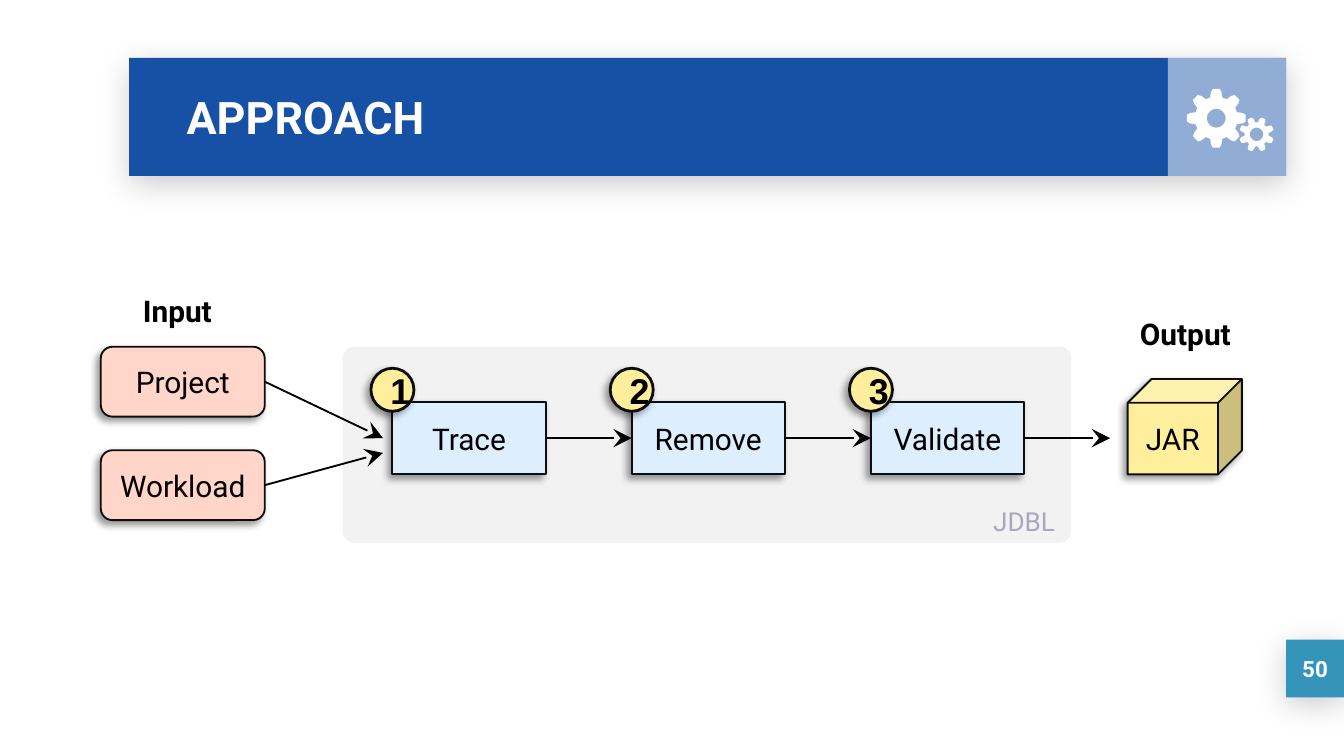
import math
from dataclasses import dataclass
from typing import Optional

import lxml.etree
import pptx
import pptx.dml.color
import pptx.enum.shapes
import pptx.enum.text
import pptx.oxml.ns
import pptx.util

Inches = pptx.util.Inches
Shape = pptx.enum.shapes.MSO_SHAPE
Align = pptx.enum.text.PP_ALIGN
Anchor = pptx.enum.text.MSO_ANCHOR
qn = pptx.oxml.ns.qn

COLORS = {
    "white": "FFFFFF", "black": "000000", "outline": "0D0D0D",
    "banner": "1751A6", "number": "3494BA", "panel": "F2F2F2",
    "input": "FFD6C9", "stage": "DDEEFE", "yellow": "FFEE9B", "tool": "AAA7BC",
}


@dataclass
class Words:
    text: str
    size: float = 16
    bold: bool = False
    color: str = "black"
    font: str = "Roboto"
    align: Align = Align.CENTER


@dataclass
class Shadow:
    alpha: int
    blur: float
    distance: float
    angle: int


@dataclass
class Box:
    left: float
    top: float
    width: float
    height: float
    fill: str
    kind: Shape = Shape.RECTANGLE
    words: Optional[Words] = None
    line: float = 0
    shadow: Optional[Shadow] = None
    radius: Optional[float] = None
    alpha: int = 100


@dataclass
class Gear:
    x: float
    y: float
    tip: float
    root: float
    hole: float
    turn: float


SOFT = Shadow(20, 16.9, 3.8, 90)
CRISP = Shadow(40, 4, 3, 135)


def rgb(name: str) -> pptx.dml.color.RGBColor:
    """Return the named colour."""
    return pptx.dml.color.RGBColor.from_string(COLORS[name])


def write(shape, words: Words, anchor: Anchor) -> None:
    """Put one run of text into a shape."""
    frame = shape.text_frame
    frame.word_wrap = True
    frame.vertical_anchor = anchor
    para = frame.paragraphs[0]
    para.alignment = words.align
    span = para.add_run()
    span.text = words.text
    span.font.size = pptx.util.Pt(words.size)
    span.font.bold = words.bold
    span.font.name = words.font
    span.font.color.rgb = rgb(words.color)


def cast_shadow(shape, shadow: Shadow) -> None:
    """Give a shape a soft outer shadow."""
    effects = shape.element.spPr.find(qn("a:effectLst"))
    outer = lxml.etree.SubElement(
        effects, qn("a:outerShdw"), blurRad=str(pptx.util.Pt(shadow.blur)),
        dist=str(pptx.util.Pt(shadow.distance)), dir=str(shadow.angle * 60000),
        algn="ctr", rotWithShape="0")
    color = lxml.etree.SubElement(outer, qn("a:srgbClr"), val=COLORS["black"])
    lxml.etree.SubElement(color, qn("a:alpha"), val=str(shadow.alpha * 1000))


def add_box(page, box: Box):
    """Draw a preset shape with its fill, outline, shadow and text."""
    shape = page.shapes.add_shape(
        box.kind, Inches(box.left), Inches(box.top), Inches(box.width), Inches(box.height))
    shape.shadow.inherit = False
    shape.fill.solid()
    shape.fill.fore_color.rgb = rgb(box.fill)
    if box.alpha < 100:
        color = shape.element.spPr.find(qn("a:solidFill"))[0]
        lxml.etree.SubElement(color, qn("a:alpha"), val=str(box.alpha * 1000))
    if box.line:
        shape.line.color.rgb = rgb("outline")
        shape.line.width = pptx.util.Pt(box.line)
    else:
        shape.line.fill.background()
    if box.shadow:
        cast_shadow(shape, box.shadow)
    if box.radius is not None:
        shape.adjustments[0] = box.radius
    if box.words:
        write(shape, box.words, Anchor.MIDDLE)
    return shape


def add_label(page, left: float, top: float, width: float, height: float,
              words: Words, anchor: Anchor = Anchor.TOP) -> None:
    """Add a plain text box."""
    label = page.shapes.add_textbox(Inches(left), Inches(top), Inches(width), Inches(height))
    write(label, words, anchor)


def add_arrow(page, start, x: float = 0, y: float = 0, end=None) -> None:
    """Draw an arrow from a shape's right side to a point or another shape."""
    arrow = page.shapes.add_connector(
        pptx.enum.shapes.MSO_CONNECTOR.STRAIGHT, 0, 0, Inches(x), Inches(y))
    arrow.begin_connect(start, 3)
    if end is not None:
        arrow.end_connect(end, 1)
    arrow.line.color.rgb = rgb("black")
    arrow.line.width = pptx.util.Pt(1)
    line = arrow.element.spPr.find(qn("a:ln"))
    lxml.etree.SubElement(line, qn("a:tailEnd"), type="stealth", w="lg", len="lg")
    lxml.etree.SubElement(arrow.element.spPr, qn("a:effectLst"))


def add_gear(page, gear: Gear) -> None:
    """Draw an eight-toothed gear with a round hole."""
    def point(radius: float, angle: float) -> tuple[int, int]:
        return (Inches(gear.x + radius * math.sin(angle)),
                Inches(gear.y - radius * math.cos(angle)))

    pitch = math.tau / 8
    profile = [(gear.root, -0.36), (gear.tip * 0.9, -0.25), (gear.tip, -0.15),
               (gear.tip, 0.15), (gear.tip * 0.9, 0.25), (gear.root, 0.36)]
    rim = [point(radius, (tooth + gear.turn + offset) * pitch)
           for tooth in range(8) for radius, offset in profile]
    hole = [point(gear.hole, -step * math.tau / 32) for step in range(32)]
    builder = page.shapes.build_freeform(*rim[0])
    builder.add_line_segments(rim[1:])
    builder.move_to(*hole[0])
    builder.add_line_segments(hole[1:])
    shape = builder.convert_to_shape()
    shape.shadow.inherit = False
    shape.fill.solid()
    shape.fill.fore_color.rgb = rgb("white")
    shape.line.fill.background()


def main() -> None:
    """Build the approach slide."""
    deck = pptx.Presentation()
    deck.slide_width, deck.slide_height = Inches(10), Inches(10 * 9 / 16)
    page = deck.slides.add_slide(deck.slide_layouts[6])
    page.background.fill.solid()
    page.background.fill.fore_color.rgb = rgb("white")

    add_box(page, Box(0.96, 0.43, 8.61, 0.88, "banner", shadow=SOFT))
    add_box(page, Box(8.69, 0.43, 0.88, 0.88, "white", alpha=53))
    add_label(page, 1.29, 0.43, 7.37, 0.88,
              Words("APPROACH", 24, True, "white", align=Align.LEFT), Anchor.MIDDLE)
    add_gear(page, Gear(9.05, 0.88, 0.22, 0.16, 0.07, 0))
    add_gear(page, Gear(9.35, 1.0, 0.13, 0.09, 0.05, 0.5))
    add_box(page, Box(9.57, 4.76, 0.43, 0.43, "number",
                      words=Words("50", 12, True, "white"), shadow=SOFT))

    rounded = Shape.ROUNDED_RECTANGLE
    add_box(page, Box(2.55, 2.58, 5.42, 1.46, "panel", rounded, radius=0.06))
    for text, top, target in (("Project", 2.58, 3.26), ("Workload", 3.35, 3.37)):
        source = add_box(page, Box(0.75, top, 1.22, 0.52, "input", rounded,
                                   Words(text), 1, CRISP))
        add_arrow(page, source, 2.85, target)

    previous = None
    for index, text in enumerate(("Trace", "Remove", "Validate")):
        left = 2.92 + 1.78 * index
        stage = add_box(page, Box(left, 2.99, 1.14, 0.54, "stage",
                                  words=Words(text), line=1, shadow=CRISP))
        add_box(page, Box(left - 0.16, 2.74, 0.32, 0.32, "yellow", Shape.OVAL,
                          Words(str(index + 1), 19.2, True, font="Arial"), 1.5, CRISP))
        if previous is not None:
            add_arrow(page, previous, end=stage)
        previous = stage
    add_arrow(page, previous, 8.26, 3.26)
    add_box(page, Box(8.39, 2.82, 0.85, 0.71, "yellow", Shape.CUBE, Words("JAR"), 1, CRISP))

    add_label(page, 0.75, 2.13, 1.14, 0.37, Words("Input", bold=True))
    add_label(page, 8.18, 2.3, 1.28, 0.37, Words("Output", bold=True))
    add_label(page, 6.98, 3.71, 1.28, 0.34, Words("JDBL", 14, color="tool"))
    deck.save("out.pptx")


if __name__ == "__main__":
    main()
